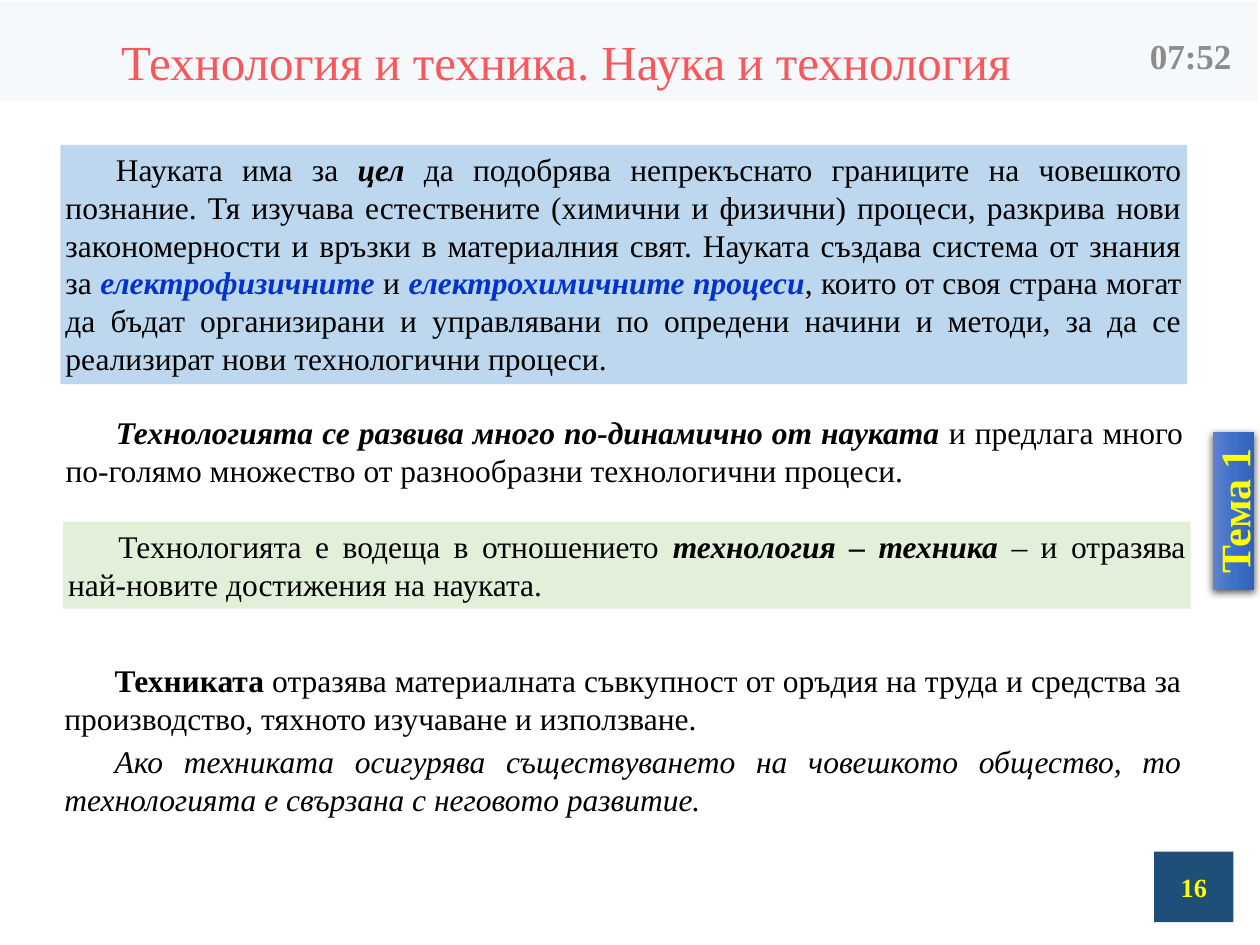
from dataclasses import dataclass
from typing import NamedTuple, Optional

from lxml import etree
from pptx import Presentation
from pptx import util as u
from pptx.dml.color import RGBColor
from pptx.enum import shapes, text
from pptx.oxml import parse_xml
from pptx.oxml.ns import nsdecls, qn

COLUMNS, ROWS = 100, 75


@dataclass(frozen=True)
class Theme:
    font: str = "Times New Roman"
    title_size: float = 28
    tab_size: float = 24
    clock_size: float = 20
    body_size: float = 18
    number_size: float = 15
    ink: str = "000000"
    title: str = "FF0000"
    accent: str = "0033CC"
    label: str = "FFFF00"
    clock: str = "8C8C8C"
    band: str = "E7F0F9"
    band_opacity: int = 37
    number_fill: str = "1F4E79"
    science_fill: str = "BDD7EE"
    technology_fill: str = "E2F0D9"
    tab_gradient: tuple = ((0, "6183CB"), (50, "3E70CA"), (100, "3062BB"))


THEME = Theme()


class Area(NamedTuple):
    """Left, top, width and height in grid columns and rows."""
    left: float
    top: float
    width: float
    height: float


class Run(NamedTuple):
    text: str
    bold: bool = False
    italic: bool = False
    color: str = THEME.ink


@dataclass(frozen=True)
class Passage:
    area: Area
    paragraphs: list[list[Run]]
    fill: Optional[str] = None


PASSAGES = [
    Passage(Area(4.8, 11.5, 89.4, 19), [[
        Run("Науката има за "),
        Run("цел", True, True),
        Run(" да подобрява непрекъснато границите на човешкото познание. "
            "Тя изучава естествените (химични и физични) процеси, разкрива нови "
            "закономерности и връзки в материалния свят. "
            "Науката създава система от знания за "),
        Run("електрофизичните ", True, True, THEME.accent),
        Run("и "),
        Run("електрохимичните процеси", True, True, THEME.accent),
        Run(", които от своя страна могат да бъдат организирани и управлявани "
            "по опредени начини и методи, за да се реализират нови "
            "технологични процеси."),
    ]], THEME.science_fill),
    Passage(Area(4.8, 32.4, 89.5, 6.9), [[
        Run("Технологията се развива много по-динамично от науката ", True, True),
        Run("и предлага много по-голямо множество от разнообразни "
            "технологични процеси."),
    ]]),
    Passage(Area(5, 41.4, 89.5, 6.9), [[
        Run("Технологията е водеща в отношението "),
        Run("технология – техника ", True, True),
        Run("– и отразява най-новите достижения на науката."),
    ]], THEME.technology_fill),
    Passage(Area(4.7, 52.1, 89.5, 13.3), [
        [Run("Техниката ", True),
         Run("отразява материалната съвкупност от оръдия на труда и средства "
             "за производство, тяхното изучаване и използване.")],
        [Run("Ако техниката осигурява съществуването на човешкото общество, то "
             "технологията е свързана с неговото развитие.", italic=True)],
    ]),
]


def place(presentation, area: Area) -> tuple[int, int, int, int]:
    """Turn grid units into slide lengths."""
    column = presentation.slide_width / COLUMNS
    row = presentation.slide_height / ROWS
    return (round(area.left * column), round(area.top * row),
            round(area.width * column), round(area.height * row))


def style_run(run, size: float, color: str, bold: bool = False,
              italic: bool = False) -> None:
    font = run.font
    font.name, font.size = THEME.font, u.Pt(size)
    font.bold, font.italic = bold, italic
    font.color.rgb = RGBColor.from_string(color)


def set_insets(frame, inset: float) -> None:
    frame.margin_left = frame.margin_right = u.Inches(inset)
    frame.margin_top = frame.margin_bottom = u.Inches(inset)


def add_rectangle(presentation, slide, area: Area, fill: Optional[str] = None):
    shape = slide.shapes.add_shape(shapes.MSO_SHAPE.RECTANGLE,
                                   *place(presentation, area))
    shape.shadow.inherit = False
    shape.line.fill.background()
    if fill:
        shape.fill.solid()
        shape.fill.fore_color.rgb = RGBColor.from_string(fill)
    return shape


def write_label(shape, label: str, size: float, color: str) -> None:
    """Set one bold line, centred both ways."""
    frame = shape.text_frame
    frame.text = label
    frame.word_wrap = True
    frame.vertical_anchor = text.MSO_ANCHOR.MIDDLE
    paragraph = frame.paragraphs[0]
    paragraph.alignment = text.PP_ALIGN.CENTER
    style_run(paragraph.runs[0], size, color, bold=True)


def add_band(presentation, slide) -> None:
    band = add_rectangle(presentation, slide, Area(-0.2, 0.1, 100, 7.9), THEME.band)
    color = band.fill._xPr.find(f".//{qn('a:srgbClr')}")
    etree.SubElement(color, qn("a:alpha"), val=str(THEME.band_opacity * 1000))


def add_topic_tab(presentation, slide) -> None:
    tab = add_rectangle(presentation, slide, Area(91.6, 38.9, 12.6, 3.3))
    tab.rotation = 270
    stops = "".join(f'<a:gs pos="{position * 1000}"><a:srgbClr val="{color}"/></a:gs>'
                    for position, color in THEME.tab_gradient)
    properties = tab._element.spPr
    properties.find(qn("a:prstGeom")).addnext(parse_xml(
        f'<a:gradFill {nsdecls("a")} rotWithShape="1"><a:gsLst>{stops}</a:gsLst>'
        '<a:lin ang="5400000" scaled="0"/></a:gradFill>'))
    properties.find(qn("a:effectLst")).append(parse_xml(
        f'<a:outerShdw {nsdecls("a")} blurRad="{u.Pt(4.5)}" dist="{u.Pt(1.5)}" '
        'dir="5400000" algn="ctr" rotWithShape="0"><a:srgbClr val="000000">'
        '<a:alpha val="63000"/></a:srgbClr></a:outerShdw>'))
    write_label(tab, "Тема 1", THEME.tab_size, THEME.label)


def format_title(presentation, slide) -> None:
    title = slide.shapes.title
    title.left, title.top, title.width, title.height = place(
        presentation, Area(2.5, 2.6, 84.8, 5))
    frame = title.text_frame
    frame.text = "Технология и техника. Наука и технология"
    frame.auto_size = text.MSO_AUTO_SIZE.NONE
    set_insets(frame, 0.04)
    paragraph = frame.paragraphs[0]
    paragraph.alignment = text.PP_ALIGN.CENTER
    paragraph.line_spacing = 0.9
    style_run(paragraph.runs[0], THEME.title_size, THEME.title)


def add_passage(presentation, slide, passage: Passage) -> None:
    box = slide.shapes.add_textbox(*place(presentation, passage.area))
    if passage.fill:
        box.fill.solid()
        box.fill.fore_color.rgb = RGBColor.from_string(passage.fill)
    frame = box.text_frame
    frame.word_wrap = True
    set_insets(frame, 0.04)
    for index, runs in enumerate(passage.paragraphs):
        paragraph = frame.add_paragraph() if index else frame.paragraphs[0]
        paragraph.alignment = text.PP_ALIGN.JUSTIFY
        paragraph.space_before = u.Pt(3 if index else 0)
        paragraph._p.get_or_add_pPr().set("indent", str(u.Inches(0.4)))
        for part in runs:
            run = paragraph.add_run()
            run.text = part.text
            style_run(run, THEME.body_size, part.color, part.bold, part.italic)


def main() -> None:
    presentation = Presentation()
    presentation.slide_width, presentation.slide_height = u.Inches(10), u.Inches(7.5)
    slide = presentation.slides.add_slide(
        presentation.slide_layouts.get_by_name("Title Only"))
    add_band(presentation, slide)
    add_topic_tab(presentation, slide)
    format_title(presentation, slide)
    clock = slide.shapes.add_textbox(*place(presentation, Area(89.8, 2.4, 9.4, 4)))
    write_label(clock, "07:52", THEME.clock_size, THEME.clock)
    for passage in PASSAGES:
        add_passage(presentation, slide, passage)
    number = add_rectangle(presentation, slide, Area(91.6, 67.6, 6.3, 5.6),
                           THEME.number_fill)
    write_label(number, "16", THEME.number_size, THEME.label)
    presentation.save("out.pptx")


if __name__ == "__main__":
    main()
